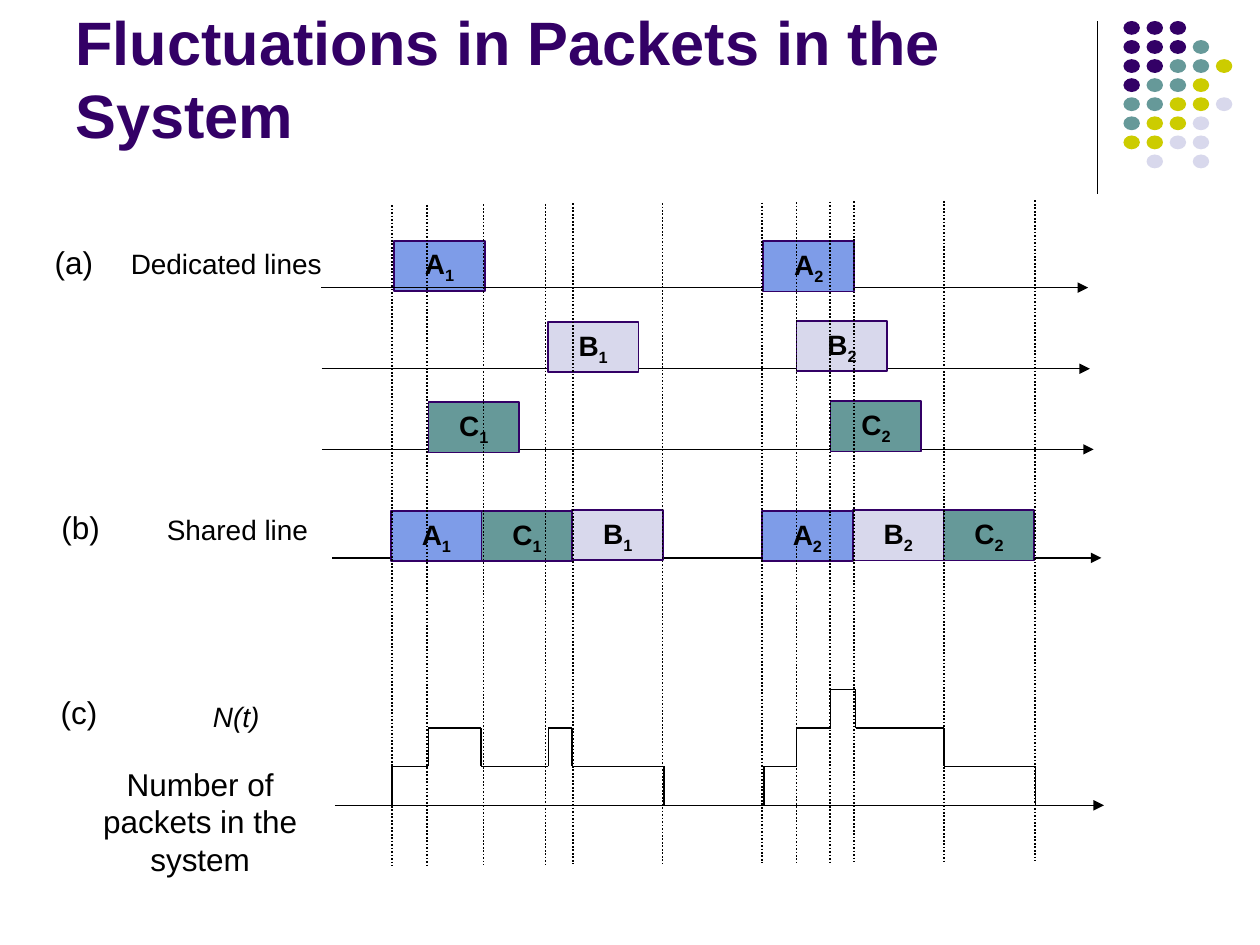
"""Build the slide on fluctuations of packets in a shared system."""
from itertools import pairwise
from typing import NamedTuple

from lxml import etree
from pptx import Presentation
from pptx.dml.color import RGBColor
from pptx.enum.dml import MSO_LINE_DASH_STYLE as Dash
from pptx.enum.shapes import MSO_CONNECTOR as Connector, MSO_SHAPE as Shape
from pptx.enum.text import MSO_ANCHOR as Anchor, MSO_AUTO_SIZE as AutoSize, PP_ALIGN as Align
from pptx.oxml.ns import qn
from pptx.util import Pt

FONT = "Arial"
BLACK, PURPLE, TEAL = "000000", "330066", "669999"
LILAC, BLUE, OLIVE = "D8D8EC", "7E9CE8", "CCCC00"
PACKET_FILLS = {"A": BLUE, "B": LILAC, "C": TEAL}
DOT_FILLS = {"P": PURPLE, "T": TEAL, "Y": OLIVE, "L": LILAC}
DOT_ROWS = ["PPP..", "PPPT.", "PPTTY", "PTTY.", "TTYYL", "TYYL.", "YYLL.", ".L.L."]
PACKET_WIDTH, PACKET_HEIGHT = 51.84, 28.8
COUNT_BASE, COUNT_STEP = 460, 22


class Packet(NamedTuple):
    flow: str
    number: str
    left: float
    top: float


class Axis(NamedTuple):
    left: float
    right: float
    y: float


class Label(NamedTuple):
    text: str
    left: float
    top: float
    width: float
    height: float
    size: float = 16
    align: Align = Align.CENTER
    italic: bool = False


class Change(NamedTuple):
    x: float
    count: int


PACKETS = [
    Packet("A", "1", 225.2, 137.6), Packet("A", "2", 436.2, 137.8),
    Packet("B", "1", 313, 184), Packet("B", "2", 455.2, 183.4),
    Packet("C", "1", 244.8, 229.8), Packet("C", "2", 474.6, 229.2),
    Packet("A", "1", 223.4, 292), Packet("C", "1", 275.2, 292), Packet("B", "1", 327, 291.4),
    Packet("A", "2", 435.4, 292), Packet("B", "2", 487.3, 291.6), Packet("C", "2", 539.2, 291.6),
]
AXES = [
    Axis(183.6, 621.8, 164.4), Axis(183.8, 622.8, 210.7), Axis(184, 625, 256.8),
    Axis(189.8, 629.4, 318.8), Axis(191.4, 630.8, 460.2),
]
LABELS = [
    Label("(a)", 24.2, 135.4, 66, 28.8, 18, Align.LEFT),
    Label("(b)", 28, 286.6, 50.4, 28.8, 18, Align.LEFT),
    Label("(c)", 27.6, 392.4, 50.4, 28.8, 18, Align.LEFT),
    Label("Dedicated lines", 63.4, 137.5, 131.8, 25.9),
    Label("Shared line", 69.8, 289.4, 131.8, 25.9),
    Label("N(t)", 69.1, 396, 131.8, 25.9, italic=True),
    Label("Number of packets in the system", 33, 433.4, 162.8, 72, 18),
]
COUNTS = [
    [Change(224, 1), Change(244.8, 2), Change(275, 1), Change(313.4, 2),
     Change(327, 1), Change(379.4, 0)],
    [Change(436.4, 1), Change(455.2, 2), Change(474.6, 3), Change(488.9, 2),
     Change(539.5, 1), Change(591.7, 0)],
]
GUIDES = [224, 244, 276.3, 311.8, 327.4, 378.6, 435.4, 455.2, 474.3, 488, 539.3, 591.6]


def color(value: str) -> RGBColor:
    return RGBColor.from_string(value)


def add_run(paragraph, text: str, size: float, value: str = BLACK,
            bold: bool = False, italic: bool = False):
    run = paragraph.add_run()
    run.text = text
    run.font.name, run.font.size = FONT, Pt(size)
    run.font.bold, run.font.italic = bold, italic
    run.font.color.rgb = color(value)
    return run


def add_line(slide, start: tuple, end: tuple, width: float = 1):
    line = slide.shapes.add_connector(Connector.STRAIGHT, *map(Pt, start + end))
    line.line.color.rgb = color(BLACK)
    line.line.width = Pt(width)
    etree.SubElement(line._element.spPr, qn("a:effectLst"))
    return line


def add_filled(slide, kind: Shape, box: tuple, fill: str):
    shape = slide.shapes.add_shape(kind, *map(Pt, box))
    shape.shadow.inherit = False
    shape.fill.solid()
    shape.fill.fore_color.rgb = color(fill)
    return shape


def add_dots(slide) -> None:
    add_line(slide, (627.1, 12.2), (627.1, 110.9), 0.75)
    for row, letters in enumerate(DOT_ROWS):
        for column, letter in enumerate(letters):
            if letter in DOT_FILLS:
                box = (642 + 13.2 * column, 12 + 10.9 * row, 9.4, 7.9)
                dot = add_filled(slide, Shape.OVAL, box, DOT_FILLS[letter])
                dot.line.fill.background()


def add_packet(slide, packet: Packet) -> None:
    box = (packet.left, packet.top, PACKET_WIDTH, PACKET_HEIGHT)
    shape = add_filled(slide, Shape.RECTANGLE, box, PACKET_FILLS[packet.flow])
    shape.line.color.rgb = color(PURPLE)
    shape.line.width = Pt(1)
    shape.text_frame.vertical_anchor = Anchor.TOP
    paragraph = shape.text_frame.paragraphs[0]
    paragraph.alignment = Align.CENTER
    add_run(paragraph, packet.flow, 16, bold=True)
    subscript = add_run(paragraph, packet.number, 16, bold=True)
    subscript.font._element.set("baseline", "-25000")


def add_axis(slide, axis: Axis) -> None:
    line = add_line(slide, (axis.left, axis.y), (axis.right, axis.y), 0.75)
    etree.SubElement(line.line._get_or_add_ln(), qn("a:tailEnd"), type="triangle")


def add_label(slide, label: Label) -> None:
    box = slide.shapes.add_textbox(*map(Pt, label[1:5]))
    box.text_frame.word_wrap = True
    paragraph = box.text_frame.paragraphs[0]
    paragraph.alignment = label.align
    add_run(paragraph, label.text, label.size, italic=label.italic)


def add_count(slide, changes: list[Change]) -> None:
    points, level = [], COUNT_BASE
    for change in changes:
        points.append((change.x, level))
        level = COUNT_BASE - COUNT_STEP * change.count
        points.append((change.x, level))
    for start, end in pairwise(points):
        add_line(slide, start, end)


def add_guides(slide) -> None:
    for index, x in enumerate(GUIDES):
        top = 117.3 - 0.25 * index
        guide = add_line(slide, (x, top), (x, top + 377.6))
        guide.line.dash_style = Dash.ROUND_DOT


def set_title(slide, text: str) -> None:
    title = slide.shapes.title
    title.left, title.top, title.width, title.height = map(Pt, (36, 9.4, 594, 80.6))
    frame = title.text_frame
    frame.word_wrap, frame.auto_size = True, AutoSize.NONE
    frame.vertical_anchor = Anchor.BOTTOM
    frame.paragraphs[0].alignment = Align.LEFT
    add_run(frame.paragraphs[0], text, 35, PURPLE, bold=True)


def main() -> None:
    presentation = Presentation()
    presentation.slide_width, presentation.slide_height = Pt(720), Pt(540)
    slide = presentation.slides.add_slide(presentation.slide_layouts[5])
    set_title(slide, "Fluctuations in Packets in the System")
    add_dots(slide)
    add_packet(slide, PACKETS[0])
    for axis in AXES:
        add_axis(slide, axis)
    for packet in PACKETS[1:]:
        add_packet(slide, packet)
    for label in LABELS:
        add_label(slide, label)
    for changes in COUNTS:
        add_count(slide, changes)
    add_guides(slide)
    presentation.save("out.pptx")


if __name__ == "__main__":
    main()
